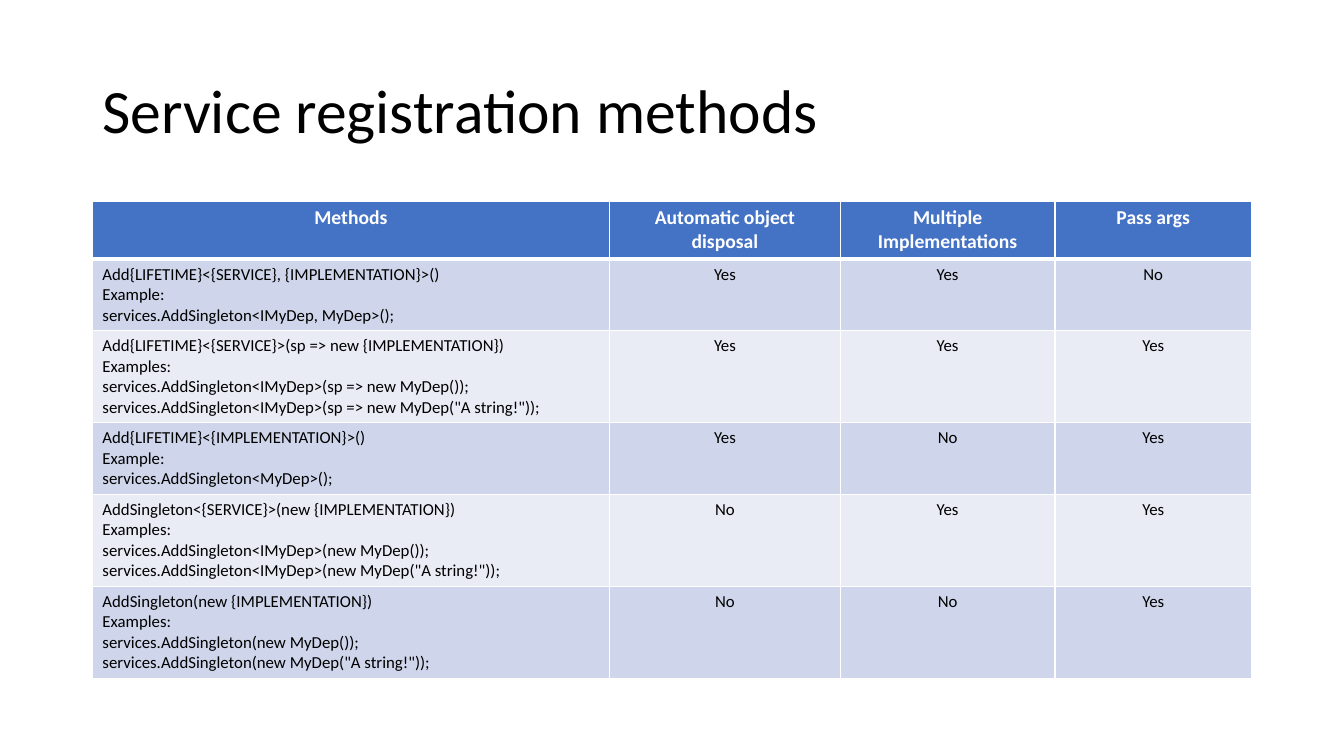
from dataclasses import dataclass

from lxml import etree
from pptx import Presentation
from pptx import util as u
from pptx.dml.color import RGBColor
from pptx.enum import text
from pptx.oxml import ns


@dataclass(frozen=True)
class Theme:
    font: str = "Calibri"
    ink: str = "000000"
    paper: str = "FFFFFF"
    header: str = "4472C4"
    bands: tuple = ("CFD5EA", "E9EBF5")
    title_size: int = 44
    header_size: int = 14
    body_size: int = 12


@dataclass(frozen=True)
class Box:
    left: float
    top: float
    width: float
    height: float

    def lengths(self):
        return [u.Pt(v) for v in (self.left, self.top, self.width, self.height)]


THEME = Theme()
LINE_SPACING = 1.22
CELL_PADDING = 7.2
COLUMN_WIDTHS = (369.4, 164.9, 153.3, 140.4)
HEADINGS = ("Methods", "Automatic object disposal", "Multiple Implementations", "Pass args")
METHODS = (
    (("Add{LIFETIME}<{SERVICE}, {IMPLEMENTATION}>()",
      "Example:",
      "services.AddSingleton<IMyDep, MyDep>();"), "Yes", "Yes", "No"),
    (("Add{LIFETIME}<{SERVICE}>(sp => new {IMPLEMENTATION})",
      "Examples:",
      "services.AddSingleton<IMyDep>(sp => new MyDep());",
      'services.AddSingleton<IMyDep>(sp => new MyDep("A string!"));'), "Yes", "Yes", "Yes"),
    (("Add{LIFETIME}<{IMPLEMENTATION}>()",
      "Example:",
      "services.AddSingleton<MyDep>();"), "Yes", "No", "Yes"),
    (("AddSingleton<{SERVICE}>(new {IMPLEMENTATION})",
      "Examples:",
      "services.AddSingleton<IMyDep>(new MyDep());",
      'services.AddSingleton<IMyDep>(new MyDep("A string!"));'), "No", "Yes", "Yes"),
    (("AddSingleton(new {IMPLEMENTATION})",
      "Examples:",
      "services.AddSingleton(new MyDep());",
      'services.AddSingleton(new MyDep("A string!"));'), "No", "No", "Yes"),
)


def write_lines(frame, lines, size, color, bold=False, align=text.PP_ALIGN.LEFT):
    for index, line in enumerate(lines):
        para = frame.paragraphs[0] if index == 0 else frame.add_paragraph()
        para.alignment = align
        span = para.add_run()
        span.text = line
        span.font.name = THEME.font
        span.font.size = u.Pt(size)
        span.font.bold = bold
        span.font.color.rgb = RGBColor.from_string(color)


def set_borders(cell, bottom):
    properties = cell._tc.get_or_add_tcPr()
    for side, width in (("L", 1), ("R", 1), ("T", 1), ("B", bottom)):
        line = etree.SubElement(properties, ns.qn(f"a:ln{side}"), w=str(u.Pt(width)))
        fill = etree.SubElement(line, ns.qn("a:solidFill"))
        etree.SubElement(fill, ns.qn("a:srgbClr"), val=THEME.paper)


def fill_cell(cell, lines, fill, size, color, bold, align, bottom):
    set_borders(cell, bottom)
    cell.fill.solid()
    cell.fill.fore_color.rgb = RGBColor.from_string(fill)
    write_lines(cell.text_frame, lines, size, color, bold, align)


def row_height(lines, size):
    return u.Pt(round(lines * size * LINE_SPACING + CELL_PADDING, 2))


def add_title(page, box):
    frame = page.shapes.add_textbox(*box.lengths()).text_frame
    frame.word_wrap = True
    frame.vertical_anchor = text.MSO_ANCHOR.MIDDLE
    write_lines(frame, ["Service registration methods"], THEME.title_size, THEME.ink)
    frame.paragraphs[0].line_spacing = 0.9


def add_methods_table(page, box):
    table = page.shapes.add_table(len(METHODS) + 1, len(HEADINGS), *box.lengths()).table
    for column, width in zip(table.columns, COLUMN_WIDTHS):
        column.width = u.Pt(box.width * width / sum(COLUMN_WIDTHS))

    table.rows[0].height = row_height(2, THEME.header_size)
    for column, heading in enumerate(HEADINGS):
        fill_cell(table.cell(0, column), [heading], THEME.header, THEME.header_size,
                  THEME.paper, True, text.PP_ALIGN.CENTER, 3)

    for row, (signature, *answers) in enumerate(METHODS, start=1):
        table.rows[row].height = row_height(len(signature), THEME.body_size)
        band = THEME.bands[(row - 1) % 2]
        for column, lines in enumerate([signature, *([answer] for answer in answers)]):
            align = text.PP_ALIGN.CENTER if column else text.PP_ALIGN.LEFT
            fill_cell(table.cell(row, column), lines, band, THEME.body_size,
                      THEME.ink, False, align, 1)


def build_deck():
    deck = Presentation()
    deck.slide_width, deck.slide_height = u.Pt(960), u.Pt(540)
    page = deck.slides.add_slide(deck.slide_layouts[6])
    add_title(page, Box(66, 28.75, 828, 104.4))
    add_methods_table(page, Box(66, 143.75, 828, 336))
    return deck


build_deck().save("out.pptx")
